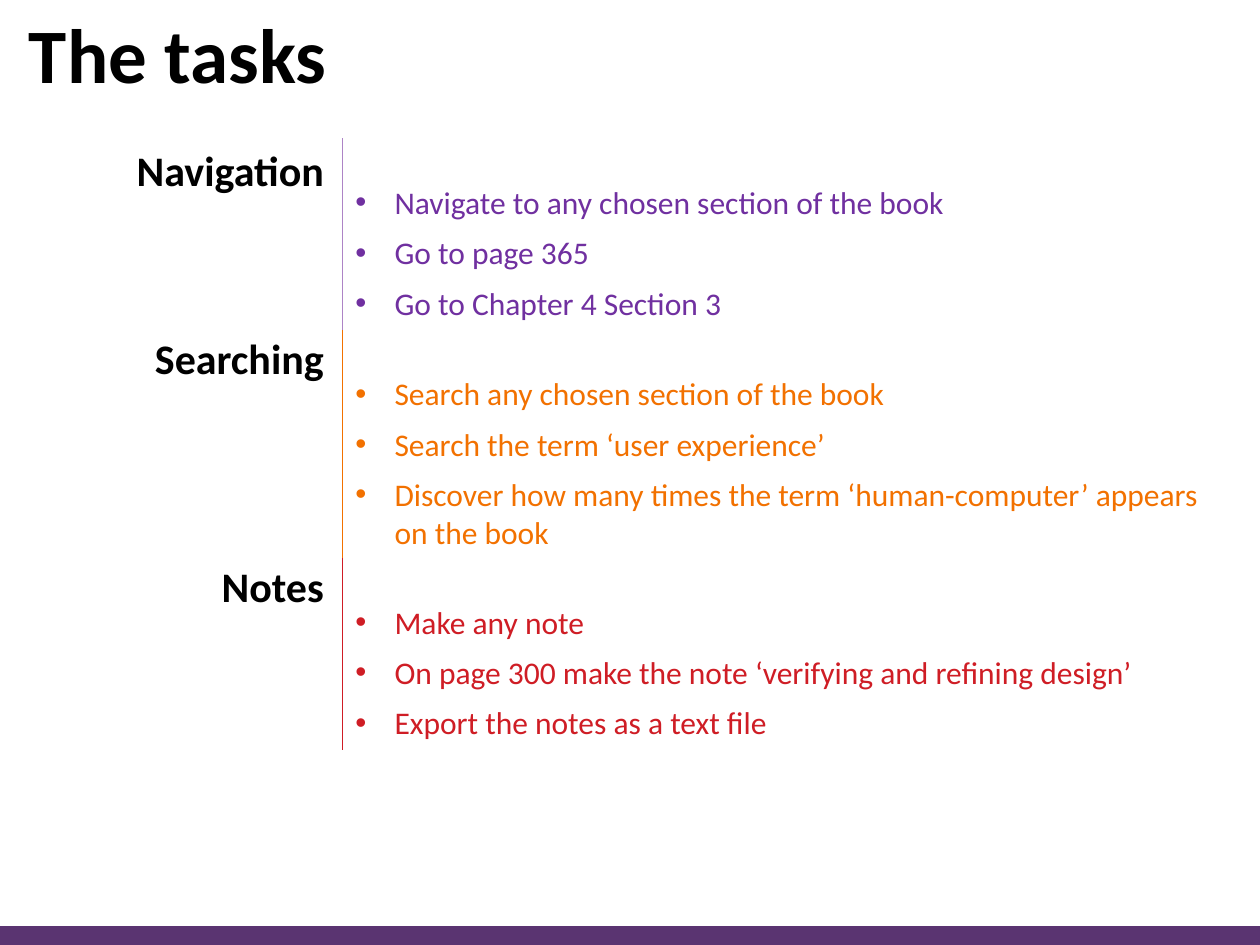
from dataclasses import dataclass

from lxml import etree
from pptx import Presentation
from pptx.dml.color import RGBColor
from pptx.enum.shapes import MSO_CONNECTOR, MSO_SHAPE
from pptx.enum.text import MSO_ANCHOR, MSO_AUTO_SIZE, PP_ALIGN
from pptx.oxml.ns import qn
from pptx.slide import Slide
from pptx.text.text import TextFrame
from pptx.util import Cm, Pt

STRAIGHT = MSO_CONNECTOR.STRAIGHT
RECTANGLE = MSO_SHAPE.RECTANGLE
TOP = MSO_ANCHOR.TOP
NO_AUTOFIT = MSO_AUTO_SIZE.NONE
LEFT, RIGHT = PP_ALIGN.LEFT, PP_ALIGN.RIGHT

BLACK = RGBColor(0x00, 0x00, 0x00)
PLUM = RGBColor(0x5A, 0x34, 0x71)
PURPLE = RGBColor(0x70, 0x30, 0xA0)
LILAC = RGBColor(0xAD, 0x84, 0xC6)
ORANGE = RGBColor(0xF2, 0x71, 0x00)
RED = RGBColor(0xCF, 0x1D, 0x25)

FONT = "Calibri"
COMPARISON_LAYOUT = 4
SLIDE_WIDTH, SLIDE_HEIGHT = 25.4, 19.05
FOOTER_HEIGHT = 0.38
FIRST_TOP = 2.79
RULE_X = 6.91
HEADING_RIGHT = 6.78
HEADING_HEIGHT = 1.27
LIST_OFFSET = 0.77
LIST_WIDTH = 17.55
BULLET_INDENT = Cm(0.79)


@dataclass
class Section:
    heading: str
    heading_width: float
    heading_rise: float
    height: float
    rule_color: RGBColor
    text_color: RGBColor
    tasks: list[str]


SECTIONS = [
    Section("Navigation", 4.32, 0, 3.86, LILAC, PURPLE, [
        "Navigate to any chosen section of the book",
        "Go to page 365",
        "Go to Chapter 4 Section 3",
    ]),
    Section("Searching", 3.96, 0.07, 4.6, ORANGE, ORANGE, [
        "Search any chosen section of the book",
        "Search the term ‘user experience’",
        "Discover how many times the term ‘human-computer’ appears on the book",
    ]),
    Section("Notes", 2.59, 0.07, 3.86, RED, RED, [
        "Make any note",
        "On page 300 make the note ‘verifying and refining design’",
        "Export the notes as a text file",
    ]),
]


def place(shape, left: float, top: float, width: float, height: float) -> None:
    shape.left, shape.top = Cm(left), Cm(top)
    shape.width, shape.height = Cm(width), Cm(height)


def prepare_frame(frame: TextFrame, wrap: bool) -> None:
    frame.word_wrap = wrap
    frame.auto_size = NO_AUTOFIT
    frame.vertical_anchor = TOP


def add_span(para, text: str, size: int, color: RGBColor, bold: bool) -> None:
    span = para.add_run()
    span.text = text
    span.font.name = FONT
    span.font.size = Pt(size)
    span.font.bold = bold
    span.font.color.rgb = color


def add_bullet(para) -> None:
    properties = para._p.get_or_add_pPr()
    properties.set("marL", str(BULLET_INDENT))
    properties.set("indent", str(-BULLET_INDENT))
    etree.SubElement(properties, qn("a:buFont")).set("typeface", "Arial")
    etree.SubElement(properties, qn("a:buChar")).set("char", "•")


def add_title(page: Slide, text: str) -> None:
    title = page.shapes.title
    place(title, 0.33, 0, 6.55, 2.13)
    prepare_frame(title.text_frame, wrap=False)
    para = title.text_frame.paragraphs[0]
    para.alignment = LEFT
    add_span(para, text, 44, BLACK, True)


def add_footer_band(page: Slide) -> None:
    band = page.shapes.add_shape(
        RECTANGLE, 0, Cm(SLIDE_HEIGHT - FOOTER_HEIGHT),
        Cm(SLIDE_WIDTH), Cm(FOOTER_HEIGHT))
    band.shadow.inherit = False
    band.fill.solid()
    band.fill.fore_color.rgb = PLUM
    band.line.fill.background()


def add_heading(page: Slide, section: Section, top: float) -> None:
    box = page.shapes.add_textbox(
        Cm(HEADING_RIGHT - section.heading_width), Cm(top - section.heading_rise),
        Cm(section.heading_width), Cm(HEADING_HEIGHT))
    prepare_frame(box.text_frame, wrap=False)
    para = box.text_frame.paragraphs[0]
    para.alignment = RIGHT
    add_span(para, section.heading, 24, BLACK, True)


def add_rule(page: Slide, section: Section, top: float) -> None:
    rule = page.shapes.add_connector(
        STRAIGHT, Cm(RULE_X), Cm(top), Cm(RULE_X), Cm(top + section.height))
    rule.line.color.rgb = section.rule_color
    rule.line.width = Pt(0.5)
    etree.SubElement(rule._element.spPr, qn("a:effectLst"))


def fill_task_list(body, section: Section, top: float) -> None:
    place(body, RULE_X, top + LIST_OFFSET, LIST_WIDTH, section.height - LIST_OFFSET)
    frame = body.text_frame
    prepare_frame(frame, wrap=True)
    for index, task in enumerate(section.tasks):
        para = frame.add_paragraph() if index else frame.paragraphs[0]
        add_bullet(para)
        para.alignment = LEFT
        para.space_before = Pt(7.2 if index else 0)
        add_span(para, task, 18, section.text_color, False)


def main() -> None:
    deck = Presentation()
    deck.slide_width, deck.slide_height = Cm(SLIDE_WIDTH), Cm(SLIDE_HEIGHT)
    page = deck.slides.add_slide(deck.slide_layouts[COMPARISON_LAYOUT])
    bodies = list(page.placeholders)[1:]

    add_footer_band(page)
    add_title(page, "The tasks")
    top = FIRST_TOP
    for section, body in zip(SECTIONS, bodies):
        add_heading(page, section, top)
        add_rule(page, section, top)
        fill_task_list(body, section, top)
        top += section.height

    for unused in bodies[len(SECTIONS):]:
        unused._element.getparent().remove(unused._element)
    deck.save("out.pptx")


if __name__ == "__main__":
    main()
